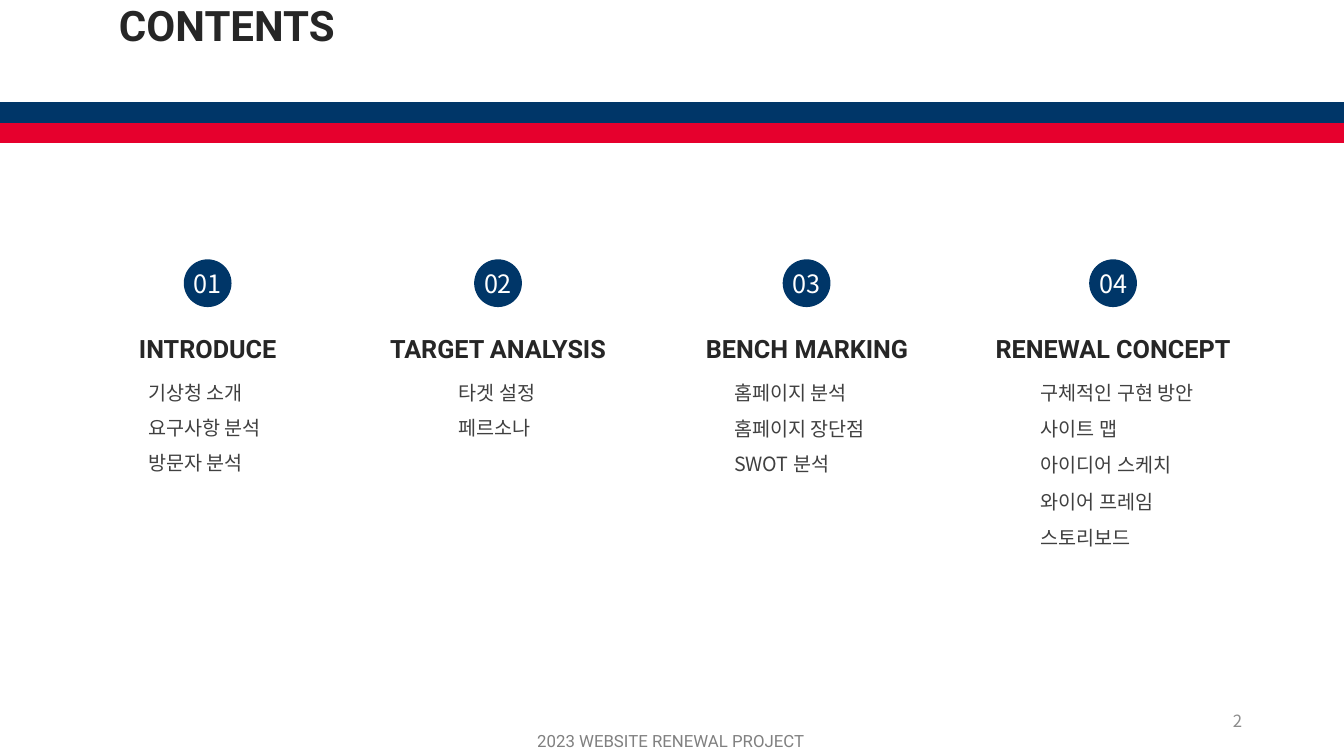
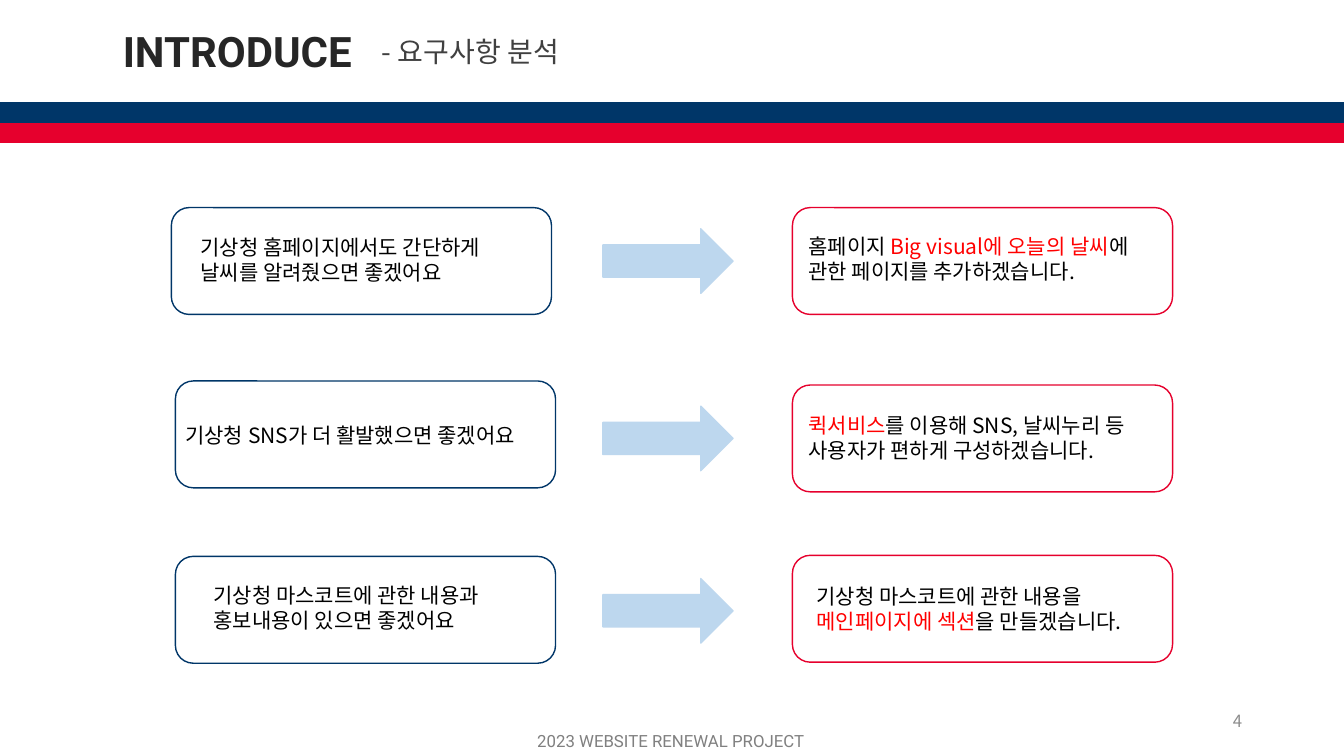
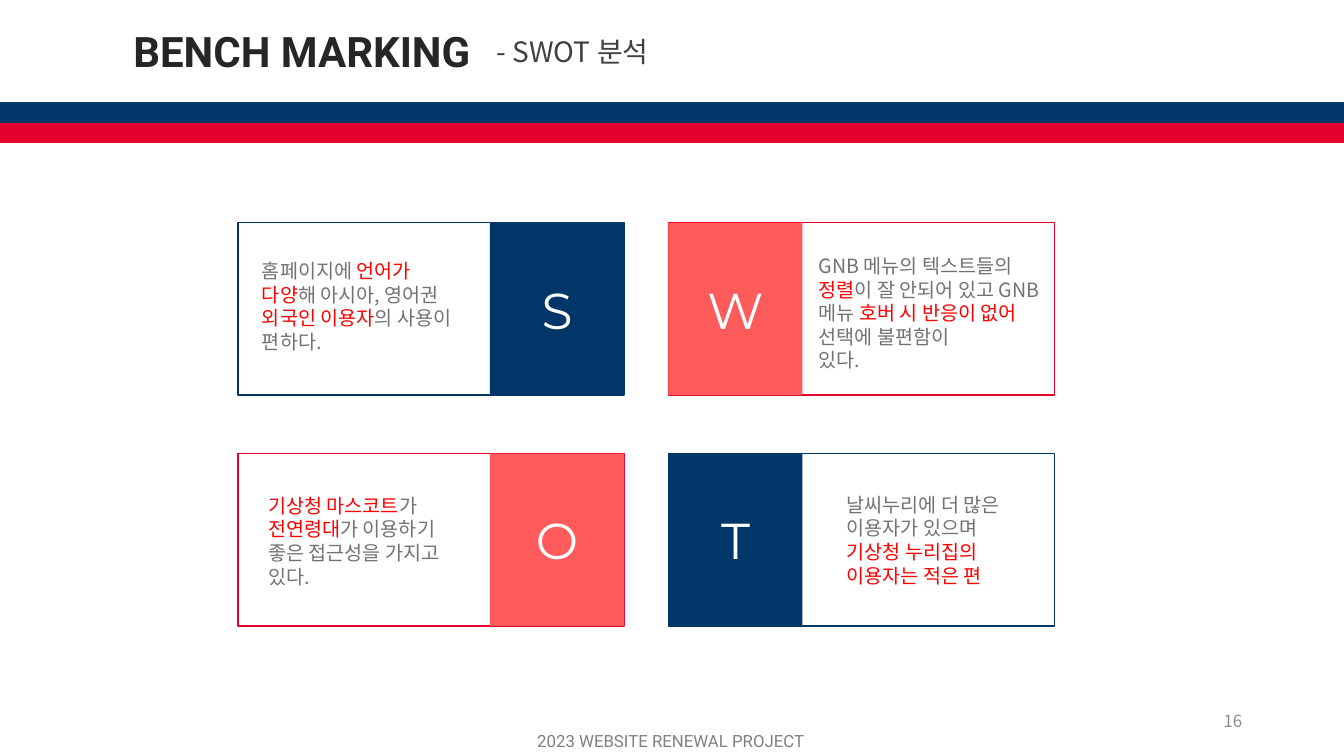
from dataclasses import dataclass

from lxml import etree
from pptx import Presentation
from pptx import util as u
from pptx.dml.color import RGBColor
from pptx.enum import shapes, text
from pptx.oxml import ns

KIND = shapes.MSO_SHAPE
LEFT, CENTER, RIGHT = text.PP_ALIGN.LEFT, text.PP_ALIGN.CENTER, text.PP_ALIGN.RIGHT
TOP, MIDDLE = text.MSO_ANCHOR.TOP, text.MSO_ANCHOR.MIDDLE


@dataclass(frozen=True)
class Theme:
    navy: str = "003668"
    red: str = "E6002D"
    coral: str = "FF5B5B"
    sky: str = "BDD7EE"
    white: str = "FFFFFF"
    black: str = "000000"
    ink: str = "262626"
    body: str = "404040"
    note: str = "767171"
    footer: str = "808080"
    page: str = "8C8C8C"
    accent: str = "FF0000"
    latin: str = "Roboto"
    korean: str = "Noto Sans CJK KR"
    display: str = "Montserrat"
    title_size: int = 30
    subtitle_size: int = 20
    heading_size: int = 18
    answer_size: int = 15
    list_size: int = 14
    small_size: int = 12
    letter_size: int = 36


T = Theme()

# Content: text between asterisks is set in the accent colour
FOOTER = "2023 WEBSITE RENEWAL PROJECT"

# number, heading, circle left, heading left and width, list left and width, gap, items
CONTENTS = [
    ("01", "INTRODUCE", 1.83, (1.15, 1.82), (1.37, 1.6), 8,
     ["기상청 소개", "요구사항 분석", "방문자 분석"]),
    ("02", "TARGET ANALYSIS", 4.71, (3.73, 2.42), (4.45, 1.2), 8,
     ["타겟 설정", "페르소나"]),
    ("03", "BENCH MARKING", 7.77, (6.89, 2.23), (7.18, 1.7), 8.5,
     ["홈페이지 분석", "홈페이지 장단점", "SWOT 분석"]),
    ("04", "RENEWAL CONCEPT", 10.81, (9.76, 2.56), (10.22, 1.95), 9,
     ["구체적인 구현 방안", "사이트 맵", "아이디어 스케치", "와이어 프레임", "스토리보드"]),
]

# request box, request text box, request, arrow top, reply box top, reply text box, reply
REQUESTS = [
    ((1.7, 2.06), (1.89, 2.28, 3.45, 0.61),
     ["기상청 홈페이지에서도 간단하게 날씨를 알려줬으면 좋겠어요"],
     2.27, 2.06, (7.92, 2.27, 3.66, 0.61),
     ["홈페이지 *Big visual에 오늘의 날씨*에 관한 페이지를 추가하겠습니다."]),
    ((1.74, 3.78), (1.74, 4.14, 3.86, 0.35),
     ["기상청 SNS가 더 활발했으면 좋겠어요"],
     4.03, 3.82, (7.92, 4.04, 3.82, 0.61),
     ["*퀵서비스*를 이용해 SNS, 날씨누리 등 사용자가 편하게 구성하겠습니다."]),
    ((1.74, 5.52), (2.02, 5.73, 3.19, 0.61),
     ["기상청 마스코트에 관한 내용과", "홍보내용이 있으면 좋겠어요"],
     5.74, 5.51, (8, 5.74, 3.5, 0.61),
     ["기상청 마스코트에 관한 내용을", "*메인페이지에 섹션*을 만들겠습니다."]),
]

# letter, column, row, line colour, panel colour, text box, text
SWOT = [
    ("S", 0, 0, T.navy, T.navy, (2.5, 2.52, 2.29, 1.04),
     ["홈페이지에 *언어가*", "*다양*해 아시아, 영어권", "*외국인 이용자*의 사용이 편하다."]),
    ("W", 1, 0, T.red, T.coral, (8.02, 2.47, 2.47, 1.28),
     ["GNB 메뉴의 텍스트들의",
      "*정렬*이 잘 안되어 있고 GNB 메뉴 *호버 시 반응이 없어 *선택에 불편함이", "있다."]),
    ("O", 0, 1, T.red, T.coral, (2.56, 4.85, 2.18, 1.04),
     ["*기상청 마스코트*가", "*전연령대*가 이용하기 좋은 접근성을 가지고 있다."]),
    ("T", 1, 1, T.navy, T.navy, (8.3, 4.84, 1.9, 1.04),
     ["날씨누리에 더 많은 이용자가 있으며", "*기상청 누리집의*", "*이용자는 적은 편*"]),
]


# Helpers
def inches(box):
    return [u.Inches(length) for length in box]


def write(shape, lines, size=T.list_size, font=T.korean, color=T.body, bold=False,
          align=LEFT, anchor=TOP, wrap=True, gap=0, inset=0.05):
    """Fill a shape with formatted paragraphs; *marked* parts get the accent."""
    frame = shape.text_frame
    frame.auto_size = text.MSO_AUTO_SIZE.NONE
    frame.word_wrap = wrap
    frame.vertical_anchor = anchor
    frame.margin_top = frame.margin_bottom = u.Inches(inset)
    for number, line in enumerate(lines):
        paragraph = frame.add_paragraph() if number else frame.paragraphs[0]
        properties = paragraph._p.get_or_add_pPr()
        properties.set("marL", "0")
        properties.set("indent", "0")
        etree.SubElement(properties, ns.qn("a:buNone"))
        paragraph.alignment = align
        paragraph.space_before = u.Pt(0)
        paragraph.space_after = u.Pt(gap)
        for part, words in enumerate(line.split("*")):
            if not words:
                continue
            run = paragraph.add_run()
            run.text = words
            run.font.size = u.Pt(size)
            run.font.bold = bold
            run.font.color.rgb = RGBColor.from_string(T.accent if part % 2 else color)
            run.font.name = font
            etree.SubElement(run._r.get_or_add_rPr(), ns.qn("a:ea"), typeface=font)


def label(slide, lines, box, **style):
    write(slide.shapes.add_textbox(*inches(box)), lines, **style)


def draw(slide, kind, box, fill=None, line=None):
    shape = slide.shapes.add_shape(kind, *inches(box))
    shape.shadow.inherit = False
    for paint, color in ((shape.fill, fill), (shape.line.fill, line)):
        if color:
            paint.solid()
            paint.fore_color.rgb = RGBColor.from_string(color)
        else:
            paint.background()
    if line:
        shape.line.width = u.Pt(1)
    return shape


def place(placeholder, box):
    placeholder.left, placeholder.top, placeholder.width, placeholder.height = inches(box)
    return placeholder


def decorate_master(prs, slide):
    """Build the bands and the footer once and hand them to the master."""
    for top, color in ((1.22, T.red), (1.02, T.navy)):
        draw(slide, KIND.RECTANGLE, (0, top, 13.33, 0.19), color, color)
    label(slide, [FOOTER], (5.23, 7.2, 2.88, 0.3), size=T.small_size, font=T.latin,
          color=T.footer)
    tree = prs.slide_master.element.cSld.spTree
    for number, part in enumerate(list(slide.shapes)[-3:]):
        part.element.nvSpPr.cNvPr.set("id", str(100 + number))
        tree.append(part.element)


def start_slide(prs, layout, title, box, page, align=CENTER):
    slide = prs.slides.add_slide(prs.slide_layouts.get_by_name(layout))
    write(place(slide.shapes.title, box), [title], size=T.title_size, font=T.latin,
          color=T.ink, bold=True, align=align, anchor=MIDDLE, inset=0)
    label(slide, [page], (9.42, 6.95, 3, 0.4), size=T.small_size, color=T.page,
          align=RIGHT, anchor=MIDDLE)
    return slide


# Slides
def contents_slide(prs):
    slide = start_slide(prs, "Comparison", "CONTENTS", (1.08, 0, 2.53, 0.5), "2", LEFT)
    lists = [p for p in slide.placeholders if p.placeholder_format.idx]
    for holder, column in zip(lists, CONTENTS):
        number, heading, circle_left, heading_span, list_span, gap, items = column
        circle = draw(slide, KIND.OVAL, (circle_left, 2.58, 0.46, 0.46), T.navy, T.navy)
        write(circle, [number], size=T.heading_size, color=T.white, align=CENTER,
              anchor=MIDDLE, wrap=False, inset=0)
        label(slide, [heading], (heading_span[0], 3.26, heading_span[1], 0.4),
              size=T.heading_size, font=T.latin, color=T.ink, bold=True,
              align=CENTER, wrap=False)
        place(holder, (list_span[0], 3.73, list_span[1], 0.4 * len(items)))
        write(holder, items, gap=gap)
    return slide


def requests_slide(prs):
    slide = start_slide(prs, "Title Only", "INTRODUCE", (1, 0.2, 2.71, 0.61), "4")
    label(slide, ["- 요구사항 분석"], (3.5, 0.29, 2.33, 0.44), size=T.subtitle_size,
          align=CENTER)
    size = (3.77, 1.06)
    for corner, ask_box, ask, arrow_top, reply_top, reply_box, reply in REQUESTS:
        draw(slide, KIND.ROUNDED_RECTANGLE, corner + size, line=T.navy)
        draw(slide, KIND.ROUNDED_RECTANGLE, (7.86, reply_top) + size, line=T.red)
        draw(slide, KIND.RIGHT_ARROW, (5.98, arrow_top, 1.29, 0.64), T.sky, T.sky)
        for lines, box in ((ask, ask_box), (reply, reply_box)):
            label(slide, lines, box, size=T.answer_size, color=T.black)


def swot_slide(prs):
    slide = start_slide(prs, "Title Only", "BENCH MARKING", (0.98, 0.2, 4.03, 0.61), "16")
    label(slide, ["- SWOT 분석"], (4.45, 0.29, 2.46, 0.44), size=T.subtitle_size,
          align=CENTER)
    width, height, panel_width = 3.83, 1.71, 1.33
    for letter, column, row, line, fill, box, lines in SWOT:
        left, top = 2.36 + 4.27 * column, 2.21 + 2.29 * row
        draw(slide, KIND.RECTANGLE, (left, top, width, height), line=line)
        # Panels face each other across the middle gap
        panel_left = left if column else left + width - panel_width
        panel = draw(slide, KIND.RECTANGLE, (panel_left, top, panel_width, height), fill)
        write(panel, [letter], size=T.letter_size, font=T.display, color=T.white,
              align=CENTER, anchor=MIDDLE)
        label(slide, lines, box, color=T.note)


def main():
    prs = Presentation()
    prs.slide_width, prs.slide_height = inches((13.33, 7.5))
    decorate_master(prs, contents_slide(prs))
    requests_slide(prs)
    swot_slide(prs)
    prs.save("out.pptx")


if __name__ == "__main__":
    main()
